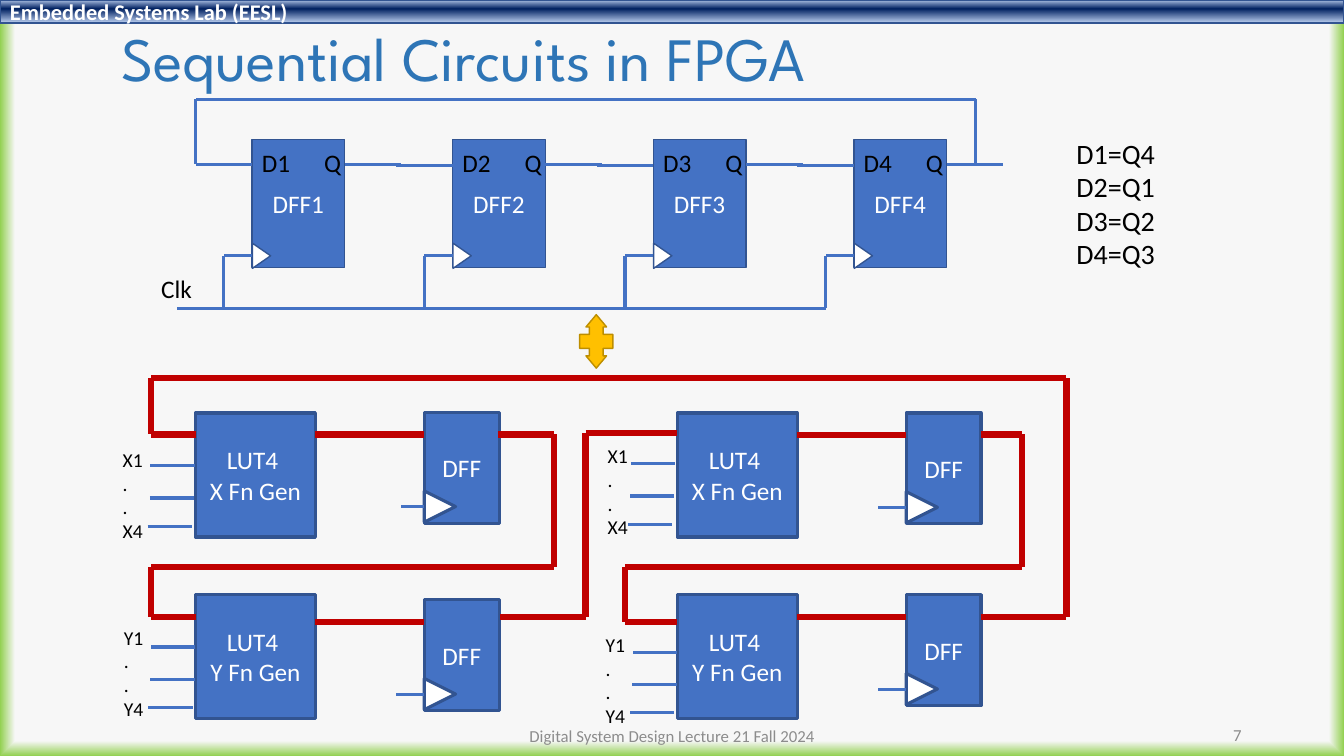
from itertools import pairwise
from lxml.etree import SubElement
from pptx import Presentation
from pptx.dml.color import RGBColor
from pptx.enum.shapes import MSO_CONNECTOR, MSO_SHAPE
from pptx.enum.text import MSO_ANCHOR, MSO_AUTO_SIZE, PP_ALIGN
from pptx.oxml.ns import qn
from pptx.util import Pt


class Theme:
    font, head = "Calibri", "League Spartan"
    blue, edge, red = "4472C4", "325491", "C00000"
    gold, rim = "FFC000", "BD8E00"
    white, black, gray, title = "FFFFFF", "000000", "8C8C8C", "2E75B6"
    page = [(96, "F7F7F7"), (100, "92D050")]
    bar = [(0, "ABC0E4"), (38, "002060"), (93, "A9BEE2"), (100, "A9BEE2")]
    huge, big, mid, band, small, tiny = 44, 20, 18, 16, 14, 12
    thin, wire, bold = 1, 2.25, 4.5


def write(frame, lines, size, color, align=PP_ALIGN.LEFT, font=Theme.font):
    frame.word_wrap = True
    for i, line in enumerate(lines):
        para = frame.paragraphs[0] if i == 0 else frame.add_paragraph()
        para.alignment = align
        run = para.add_run()
        run.text = line
        run.font.size = Pt(size)
        run.font.name = font
        run.font.color.rgb = RGBColor.from_string(color)


def block(kind, x, y, w, h, fill, edge, width, turn=0):
    shape = slide.shapes.add_shape(kind, Pt(x), Pt(y), Pt(w), Pt(h))
    shape.shadow.inherit = False
    shape.rotation = turn
    shape.fill.solid()
    shape.fill.fore_color.rgb = RGBColor.from_string(fill)
    shape.line.color.rgb = RGBColor.from_string(edge)
    shape.line.width = Pt(width)
    shape.text_frame.vertical_anchor = MSO_ANCHOR.MIDDLE
    return shape


deck = Presentation()
deck.slide_width, deck.slide_height = Pt(960), Pt(540)
slide = deck.slides.add_slide(deck.slide_layouts[5])

# Header bar
bar = block(MSO_SHAPE.RECTANGLE, 0, 0, 960, 16.6, Theme.blue, Theme.edge, Theme.thin)
bar.text_frame.margin_top = bar.text_frame.margin_bottom = 0
write(bar.text_frame, ["Embedded Systems Lab (EESL)"], Theme.band, Theme.white)
bar.text_frame.paragraphs[0].runs[0].font.bold = True

# Gradients of the page and the bar
slide.background.fill.gradient()
bar.fill.gradient()
for root, stops in ((slide.element.cSld.find(qn("p:bg")), Theme.page),
                    (bar.element.spPr, Theme.bar)):
    grad = root.find(".//" + qn("a:gradFill"))
    for child in list(grad):
        grad.remove(child)
    group = SubElement(grad, qn("a:gsLst"))
    for place, color in stops:
        stop = SubElement(group, qn("a:gs"), pos=str(place * 1000))
        SubElement(stop, qn("a:srgbClr"), val=color)
    if stops is Theme.page:
        way = SubElement(grad, qn("a:path"), path="shape")
        SubElement(way, qn("a:fillToRect"), l="50000", t="50000", r="50000", b="50000")
    else:
        SubElement(grad, qn("a:lin"), ang="5400000", scaled="0")

# Title
title = slide.shapes.title
title.left, title.top, title.width, title.height = Pt(79.5), Pt(15), Pt(828), Pt(58.3)
frame = title.text_frame
frame.auto_size = MSO_AUTO_SIZE.NONE
frame.vertical_anchor = MSO_ANCHOR.MIDDLE
write(frame, ["Sequential Circuits in FPGA"], Theme.huge, Theme.title, font=Theme.head)
frame.paragraphs[0].line_spacing = 0.9

wires, loops = [], []
labels = [(108, 191.5, 40, 28.8, ["Clk"], Theme.mid),
          (761.8, 93.6, 71.3, 104.4, ["D1=Q4", "D2=Q1", "D3=Q2", "D4=Q3"], Theme.big)]

# Ring of four flip-flops
for k in range(4):
    x = 180 + 143.3 * k
    flop = block(MSO_SHAPE.RECTANGLE, x, 99.6, 66.2, 91.4,
                 Theme.blue, Theme.edge, Theme.thin)
    write(flop.text_frame, [f"DFF{k + 1}"], Theme.mid, Theme.white, PP_ALIGN.CENTER)
    block(MSO_SHAPE.ISOSCELES_TRIANGLE, x - 2.2, 176.2, 18, 13,
          Theme.white, Theme.edge, Theme.thin, 90)
    y = 118 if k else 117.4
    wires += [[(x - 40.3, y), (x, y)],
              [(x + 66.2, 117.4), (x + 106.8, 117.4)],
              [(x, 182.7), (x - 20.2, 182.7), (x - 20.2, 220.3)]]
    labels.append((x, 101.5, 72, 28.8, [f"D{k + 1}\tQ"], Theme.mid))
wires += [[(589.7, 220.3), (126.7, 220.3)],
          [(697, 117.4), (697, 70.8), (139.7, 70.8), (139.7, 117.4)]]

# Logic cells: row letter, column, flip-flop top, clock lead, pins x and y, label x and y
cells = [("X", 0, 294.5, 16.6, 107.5, 332.6, 80.6, 316.5),
         ("X", 1, 295, 20.2, 450.7, 331.2, 427, 313.9),
         ("Y", 0, 428.4, 20.2, 108, 462.2, 81.4, 443.5),
         ("Y", 1, 424.8, 20.2, 452.2, 465.8, 425.5, 448.6)]
for name, col, top, lead, px, py, tx, ty in cells:
    x = 139.6 + 344.2 * col
    lut = block(MSO_SHAPE.RECTANGLE, x, 295 if name == "X" else 424.8, 85.7, 88.6,
                Theme.blue, Theme.edge, Theme.wire)
    write(lut.text_frame, ["LUT4 ", f"{name} Fn Gen"],
          Theme.mid, Theme.white, PP_ALIGN.CENTER)
    fx = x + 163.5
    flop = block(MSO_SHAPE.RECTANGLE, fx, top, 53.5, 79.2,
                 Theme.blue, Theme.edge, Theme.wire)
    write(flop.text_frame, ["DFF"], Theme.mid, Theme.white, PP_ALIGN.CENTER)
    block(MSO_SHAPE.ISOSCELES_TRIANGLE, fx, top + 56.2, 22.3, 22.3,
          Theme.white, Theme.edge, Theme.wire, 90)
    loops.append([(x + 85.7, top + 15.8), (fx, top + 15.8)])
    wires.append([(fx, top + 67.5), (fx - lead, top + 67.5)])
    for dx, dy in ((0, 0), (-0.5, 23.1), (-2, 43.2)):
        wires.append([(px + dx, py + dy), (px + dx + 31.6, py + dy)])
    labels.append((tx, ty, 28.8, 74.9, [f"{name}1", ".", ".", f"{name}4"], Theme.small))

# Red links from cell to cell
loops += [
    [(355.7, 310.3), (395.6, 310.3), (395.6, 405), (108, 405), (108, 440.6),
     (139.7, 440.6)],
    [(357, 440.6), (418.3, 440.6), (418.3, 309.2), (483.8, 309.2)],
    [(700.6, 310.3), (729.8, 310.3), (729.8, 405), (446.4, 405), (446.4, 444.2),
     (483.8, 444.2)],
    [(700.6, 440.6), (761.8, 440.6), (761.8, 270), (108, 270), (108, 310.3),
     (139.7, 310.3)]]

# Draw all wires
for paths, color, width in ((wires, Theme.blue, Theme.wire),
                            (loops, Theme.red, Theme.bold)):
    for way in paths:
        for (ax, ay), (bx, by) in pairwise(way):
            line = slide.shapes.add_connector(
                MSO_CONNECTOR.STRAIGHT, Pt(ax), Pt(ay), Pt(bx), Pt(by))
            line.line.color.rgb = RGBColor.from_string(color)
            line.line.width = Pt(width)
            SubElement(line.element.spPr, qn("a:effectLst"))

# Labels and footer
labels = [(*item, Theme.black, PP_ALIGN.LEFT) for item in labels]
labels += [(318.2, 514.7, 316.8, 22, ["Digital System Design Lecture 21 Fall 2024"],
            Theme.tiny, Theme.gray, PP_ALIGN.CENTER),
           (678.2, 514, 208.8, 22, ["7"], Theme.tiny, Theme.gray, PP_ALIGN.RIGHT)]
for x, y, w, h, lines, size, color, align in labels:
    frame = slide.shapes.add_textbox(Pt(x), Pt(y), Pt(w), Pt(h)).text_frame
    frame.margin_right = 0
    if "\t" in lines[0]:
        tabs = SubElement(frame.paragraphs[0]._p.get_or_add_pPr(), qn("a:tabLst"))
        SubElement(tabs, qn("a:tab"), pos=str(Pt(44.4)), algn="l")
    write(frame, lines, size, color, align)

# Two-way arrow between the circuits
arrow = block(MSO_SHAPE.LEFT_RIGHT_ARROW_CALLOUT, 406.8, 232, 38.2, 23.8,
              Theme.gold, Theme.rim, Theme.thin, 90)
for i, value in enumerate((0.41, 0.31, 0.37, 0.26)):
    arrow.adjustments[i] = value

deck.save("out.pptx")
